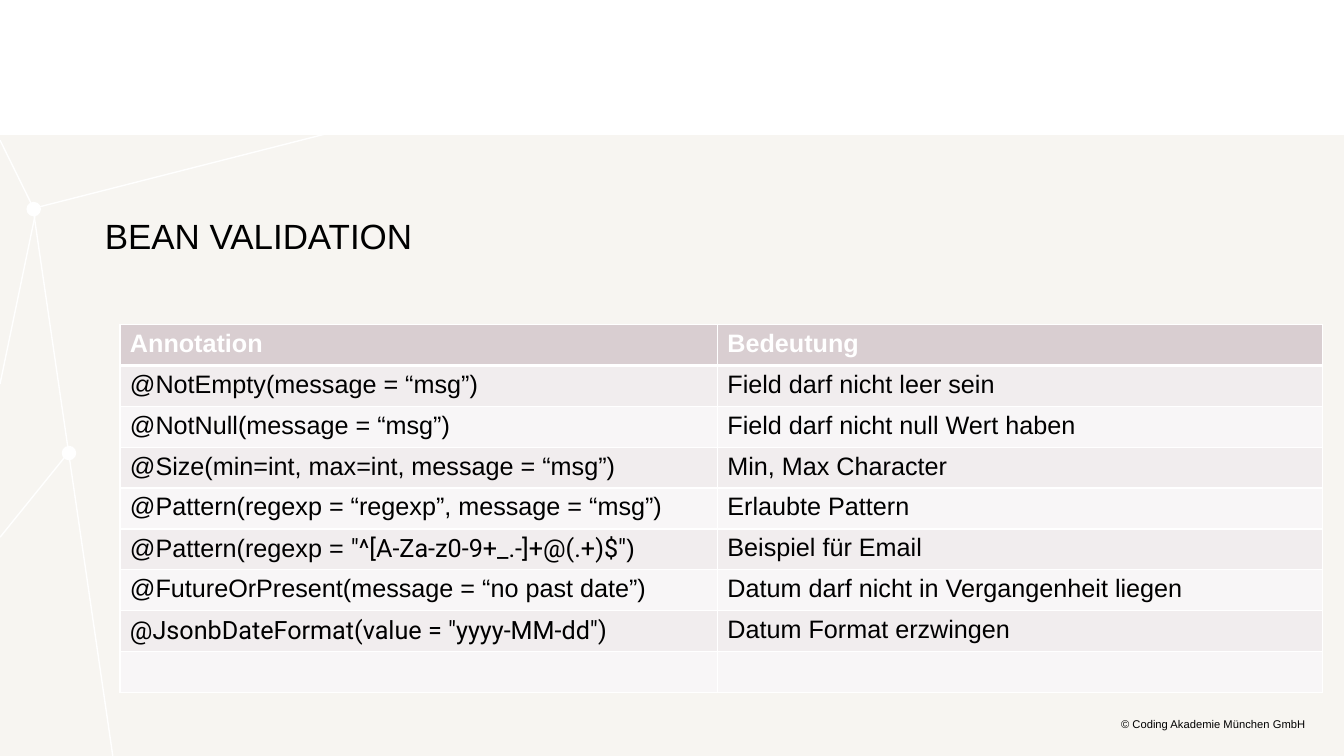
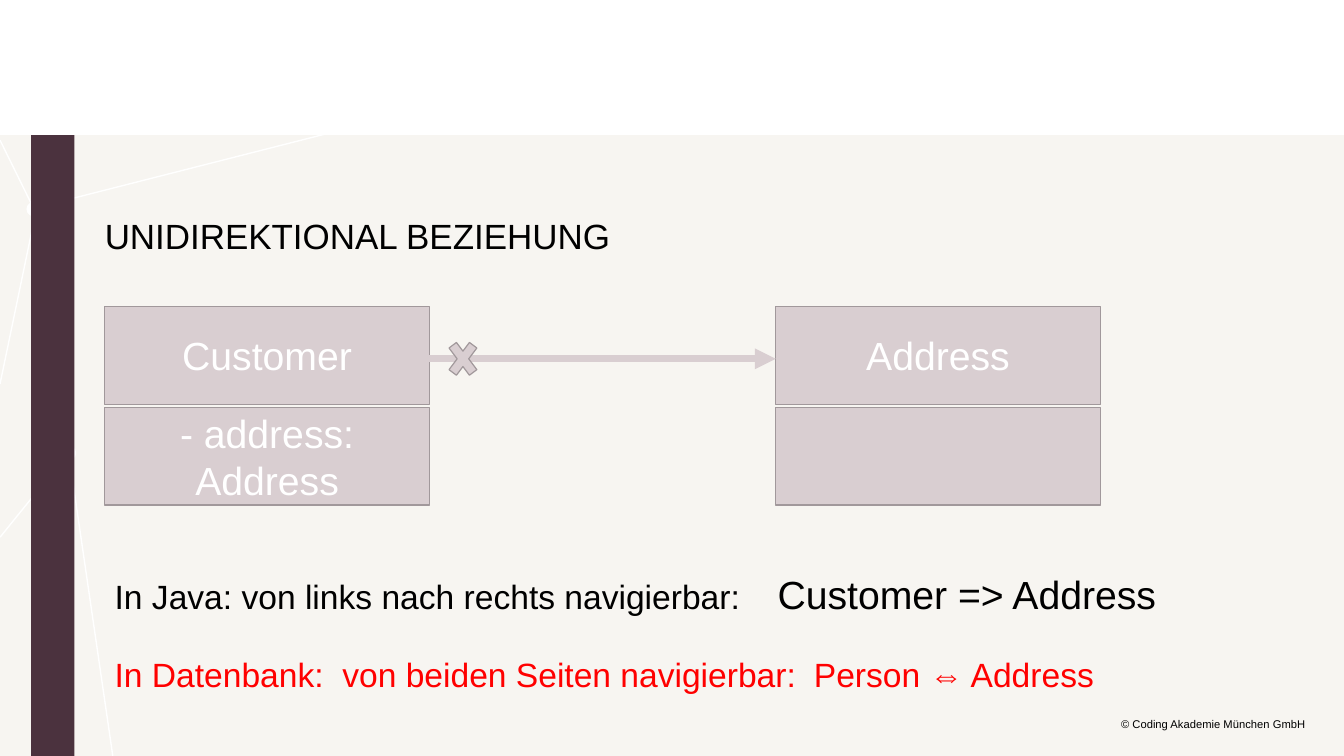
import pptx
import pptx.util
import pptx.dml.color
import pptx.enum.shapes
import pptx.enum.text
import pptx.oxml.ns
from lxml import etree

Inches = pptx.util.Inches
Pt = pptx.util.Pt
Shape = pptx.enum.shapes.MSO_SHAPE
Align = pptx.enum.text.PP_ALIGN
Anchor = pptx.enum.text.MSO_ANCHOR

COLORS = {
    "white": "FFFFFF",
    "black": "000000",
    "red": "FF0000",
    "ground": "F7F5F1",
    "plum": "4B323E",
    "mauve": "D9CED1",
    "outline": "A1989B",
    "odd_row": "F1EDEE",
    "even_row": "F8F6F7",
}
WIDTH, HEIGHT = 13.34, 7.5
BAND_TOP = 1.34
LEFT = 1.04

# White network behind every slide: dots (left, top) and lines (from, to)
DOTS = [(0.27, 2.01), (0.62, 4.43)]
NETWORK = [
    ((0.33, 2.08), (1.12, 7.5)),
    ((0.34, 2.08), (0, 1.39)),
    ((0.36, 2.06), (4.8, 0.93)),
    ((0.72, 4.44), (0, 5.33)),
    ((0.36, 2.08), (0, 3.81)),
]


def rgb(name):
    return pptx.dml.color.RGBColor.from_string(COLORS[name])


def add_element(parent, tag, **attributes):
    element = etree.SubElement(parent, pptx.oxml.ns.qn(tag))
    for key, value in attributes.items():
        element.set(key, str(value))
    return element


def set_values(target, values):
    for key, value in values.items():
        setattr(target, key, value)


class SlideBuilder:
    """Holds the deck style and the slide being built."""

    def __init__(self):
        self.deck = pptx.Presentation()
        self.deck.slide_width = Inches(WIDTH)
        self.deck.slide_height = Inches(HEIGHT)
        self.page = None

    def new_page(self):
        self.page = self.deck.slides.add_slide(self.deck.slide_layouts[6])
        self.shape(Shape.RECTANGLE, 0, BAND_TOP, WIDTH, HEIGHT - BAND_TOP, "ground")
        for left, top in DOTS:
            self.shape(Shape.OVAL, left, top, 0.13, 0.13, "white", ("white", 1))
        for start, end in NETWORK:
            self.line(start, end, "white", 1)

    def add_spans(self, para, spans, size, color, **extra):
        """Each span is a text or a pair of text and its own font values."""
        base = {"size": Pt(size), "name": "Arial", **extra}
        for item in spans:
            text, own = item if isinstance(item, tuple) else (item, {})
            span = para.add_run()
            span.text = text
            set_values(span.font, {**base, **own})
            span.font.color.rgb = rgb(color)

    def shape(self, kind, left, top, width, height, fill, line=None, text=None):
        shape = self.page.shapes.add_shape(
            kind, Inches(left), Inches(top), Inches(width), Inches(height))
        shape.shadow.inherit = False
        shape.fill.solid()
        shape.fill.fore_color.rgb = rgb(fill)
        if line:
            shape.line.color.rgb = rgb(line[0])
            shape.line.width = Pt(line[1])
        else:
            shape.line.fill.background()
        if text:
            set_values(shape.text_frame,
                       {"word_wrap": True, "vertical_anchor": Anchor.MIDDLE})
            para = shape.text_frame.paragraphs[0]
            para.alignment = Align.CENTER
            self.add_spans(para, [text], 28, "white")

    def line(self, start, end, color, width, arrow=False):
        line = self.page.shapes.add_connector(
            pptx.enum.shapes.MSO_CONNECTOR.STRAIGHT,
            *[Inches(value) for value in (*start, *end)])
        line.line.color.rgb = rgb(color)
        line.line.width = Pt(width)
        properties = line._element.spPr
        if arrow:
            stroke = properties.find(pptx.oxml.ns.qn("a:ln"))
            add_element(stroke, "a:tailEnd", type="triangle")
        add_element(properties, "a:effectLst")

    def text(self, left, top, width, height, spans, size, color="black",
             inset=0.0, tabs=(), frame_format=None, para_format=None):
        box = self.page.shapes.add_textbox(
            Inches(left), Inches(top), Inches(width), Inches(height))
        frame = box.text_frame
        margins = {"margin_left": Inches(inset), "margin_right": Inches(inset),
                   "margin_top": Inches(inset / 2), "margin_bottom": Inches(inset / 2)}
        set_values(frame, {"word_wrap": True, **margins, **(frame_format or {})})
        para = frame.paragraphs[0]
        set_values(para, para_format or {})
        if tabs:
            tab_list = add_element(para._p.get_or_add_pPr(), "a:tabLst")
            for stop in tabs:
                add_element(tab_list, "a:tab", pos=int(Inches(stop)), algn="l")
        self.add_spans(para, spans, size, color)

    def title(self, text):
        self.text(LEFT, 2.13, 11.22, 0.42, [text], 25)

    def footer(self):
        self.text(9.03, 7.13, 3.93, 0.13, ["© Coding Akademie München GmbH"], 8,
                  frame_format={"vertical_anchor": Anchor.MIDDLE},
                  para_format={"alignment": Align.RIGHT, "line_spacing": 0.93})

    def borders(self, cell, row):
        """White cell borders, thicker below the header row."""
        widths = {"a:lnL": 1, "a:lnR": 1,
                  "a:lnT": 3 if row == 1 else 1, "a:lnB": 3 if row == 0 else 1}
        for tag, width in widths.items():
            edge = add_element(cell._tc.get_or_add_tcPr(), tag, w=int(Pt(width)))
            fill = add_element(edge, "a:solidFill")
            add_element(fill, "a:srgbClr", val=COLORS["white"])

    def table(self, left, top, widths, height, rows):
        table = self.page.shapes.add_table(
            len(rows), len(widths), Inches(left), Inches(top),
            Inches(sum(widths)), Inches(height)).table
        table.horz_banding = False
        for column, width in zip(table.columns, widths):
            column.width = Inches(width)
        for index, row in enumerate(rows):
            header = index == 0
            fill = "mauve" if header else ("even_row", "odd_row")[index % 2]
            for column, spans in enumerate(row):
                cell = table.cell(index, column)
                self.borders(cell, index)
                cell.fill.solid()
                cell.fill.fore_color.rgb = rgb(fill)
                self.add_spans(cell.text_frame.paragraphs[0], spans, 18,
                               "white" if header else "black", bold=header)


def validation_page(builder):
    roboto = {"name": "Roboto"}
    builder.new_page()
    builder.title("BEAN VALIDATION")
    builder.footer()
    builder.table(1.19, 3.22, [5.93, 6.01], 3.65, [
        (["Annotation"], ["Bedeutung"]),
        (["@NotEmpty(message = “msg”)"], ["Field darf nicht leer sein"]),
        (["@NotNull(message = “msg”)"], ["Field darf nicht null Wert haben"]),
        (["@Size(min=int, max=int, message = “msg”)"], ["Min, Max Character"]),
        (["@Pattern(regexp = “regexp”, message = “msg”)"], ["Erlaubte Pattern"]),
        (["@Pattern(regexp = ", ('"^[A-Za-z0-9+_.-]+@(.+)$"', roboto), ")"],
         ["Beispiel für Email"]),
        (["@FutureOrPresent(message = “no past date”)"],
         ["Datum darf nicht in Vergangenheit liegen"]),
        ([('@JsonbDateFormat(value = "yyyy-MM-dd")', roboto)],
         ["Datum Format erzwingen"]),
        ([], []),
    ])


def relation_page(builder):
    builder.new_page()
    builder.footer()
    builder.shape(Shape.RECTANGLE, 0.31, BAND_TOP, 0.43, HEIGHT - BAND_TOP, "plum")
    builder.title("UNIDIREKTIONAL BEZIEHUNG")

    # Two classes, each a name box above a field box
    outline = ("outline", 0.85)
    box_width, right = 3.22, 7.7
    classes = [(LEFT, ["Customer", "- address: Address"]), (right, ["Address", None])]
    for left, texts in classes:
        for row, text in enumerate(texts):
            builder.shape(Shape.RECTANGLE, left, 3.04 + row, box_width, 0.97,
                          "mauve", outline, text)

    # Arrow with a cross at its closed end
    builder.line((LEFT + box_width, 3.56), (right, 3.56), "mauve", 5, arrow=True)
    builder.shape(Shape.MATH_MULTIPLY, 4.4, 3.3, 0.39, 0.52, "mauve", outline)

    # Navigation in code and in the database
    builder.text(LEFT, 5.61, 11, 0.57,
                 ["In Java: von links nach rechts navigierbar:\t",
                  ("Customer => Address", {"size": Pt(28)})],
                 24, inset=0.1, tabs=[6.58])
    builder.text(LEFT, 6.44, 11, 0.5,
                 ["In Datenbank:\tvon beiden Seiten navigierbar:\tPerson ⇔ Address"],
                 24, "red", inset=0.1, tabs=[2.26, 6.94])


def main():
    builder = SlideBuilder()
    validation_page(builder)
    relation_page(builder)
    builder.deck.save("out.pptx")


if __name__ == "__main__":
    main()
